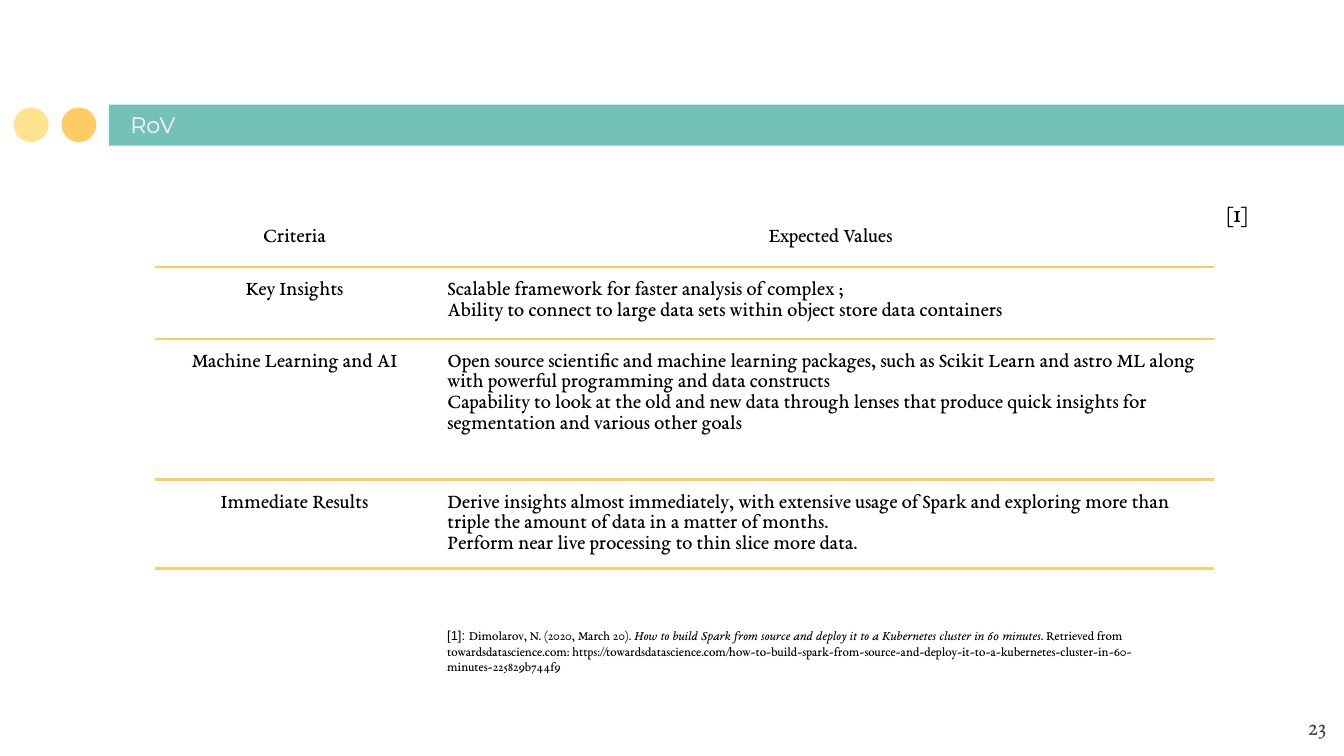
import pptx
import pptx.util
import pptx.dml.color
import pptx.enum.shapes
import pptx.enum.text
import pptx.oxml
import pptx.oxml.ns

Pt = pptx.util.Pt
RGB = pptx.dml.color.RGBColor
Align = pptx.enum.text.PP_ALIGN
Anchor = pptx.enum.text.MSO_ANCHOR
Shape = pptx.enum.shapes.MSO_SHAPE

TEAL = RGB(0x74, 0xC1, 0xB9)
GOLD = RGB(0xFF, 0xCB, 0x64)
CREAM = RGB(0xFF, 0xE4, 0x8D)
BLACK = RGB(0, 0, 0)
GREY = RGB(0x43, 0x43, 0x43)
WHITE = RGB(0xFF, 0xFF, 0xFF)
SERIF = "EB Garamond"
PAD = Pt(7.2)


def add_run(para, text, size, color=BLACK, font=SERIF, slant=False):
    run = para.add_run()
    run.text = text
    run.font.size = Pt(size)
    run.font.name = font
    run.font.color.rgb = color
    run.font.italic = slant


def set_frame(frame, anchor=Anchor.TOP):
    frame.word_wrap = True
    frame.auto_size = pptx.enum.text.MSO_AUTO_SIZE.NONE
    frame.vertical_anchor = anchor
    frame.margin_left = frame.margin_right = PAD
    frame.margin_top = frame.margin_bottom = PAD
    return frame.paragraphs[0]


deck = pptx.Presentation()
deck.slide_width, deck.slide_height = Pt(720), Pt(405)
slide = deck.slides.add_slide(deck.slide_layouts[5])
shapes = slide.shapes

for kind, left, top, width, height, color in [
    (Shape.RECTANGLE, 58.4, 56, 684, 22, TEAL),
    (Shape.OVAL, 33, 57.6, 18.6, 18.6, GOLD),
    (Shape.OVAL, 7.4, 57.6, 18.6, 18.6, CREAM),
]:
    shape = shapes.add_shape(kind, Pt(left), Pt(top), Pt(width), Pt(height))
    shape.shadow.inherit = False
    shape.fill.solid()
    shape.fill.fore_color.rgb = color
    shape.line.fill.background()

title = shapes.title
title.left, title.top, title.width, title.height = Pt(62.6), Pt(57), Pt(394.6), Pt(24.4)
para = set_frame(title.text_frame, Anchor.BOTTOM)
para.alignment = Align.LEFT
add_run(para, "RoV", 12, WHITE, "Montserrat")
shapes._spTree.append(title._element)

rows = [
    ("Criteria", ["Expected Values"]),
    ("Key Insights", [
        "Scalable framework for faster analysis of complex ;",
        "Ability to connect to large data sets within object store data containers",
    ]),
    ("Machine Learning and AI", [
        "Open source scientific and machine learning packages, such as Scikit Learn and astro ML along with powerful programming and data constructs",
        "Capability to look at the old and new data through lenses that produce quick insights for segmentation and various other goals",
    ]),
    ("Immediate Results", [
        "Derive insights almost immediately, with extensive usage of Spark and exploring more than triple the amount of data in a matter of months.",
        "Perform near live processing to thin slice more data.",
    ]),
]
heights = [31.7, 38.3, 75.5, 47.7]
widths = [149.3, 417.8]
table = shapes.add_table(4, 2, Pt(83.2), Pt(111.5), Pt(sum(widths)), Pt(sum(heights))).table
table.first_row = table.horz_banding = False
for col, width in zip(table.columns, widths):
    col.width = Pt(width)

for i, (name, lines) in enumerate(rows):
    table.rows[i].height = Pt(heights[i])
    for j, texts in enumerate([[name], lines]):
        cell = table.cell(i, j)
        cell.fill.background()
        cell.margin_left = cell.margin_top = cell.margin_bottom = PAD
        cell.margin_right = Pt(0) if (i, j) == (0, 1) else PAD
        cell.vertical_anchor = Anchor.TOP if i else Anchor.MIDDLE
        for n, text in enumerate(texts):
            para = cell.text_frame.add_paragraph() if n else cell.text_frame.paragraphs[0]
            para.alignment = Align.LEFT if i and j else Align.CENTER
            add_run(para, text, 11)
        props = cell._tc.get_or_add_tcPr()
        for n, side in enumerate("LRTB"):
            ruled = side == "B" or side == "T" and i > 0
            fill = f'<a:solidFill><a:srgbClr val="{GOLD}"/></a:solidFill>' if ruled else "<a:noFill/>"
            space = pptx.oxml.ns.nsdecls("a")
            props.insert(n, pptx.oxml.parse_xml(f'<a:ln{side} {space} w="{Pt(1.5)}">{fill}</a:ln{side}>'))

cite = [
    ("[1]: ", 7, BLACK, "Arial"),
    ("Dimolarov, N. (2020, March 20). ", 7),
    ("How to build Spark from source and deploy it to a Kubernetes cluster in 60 minutes", 7, BLACK, SERIF, True),
    (". Retrieved from towardsdatascience.com: https://towardsdatascience.com/how-to-build-spark-from-source-and-deploy-it-to-a-kubernetes-cluster-in-60-minutes-225829b744f9", 7),
]
for left, top, width, height, align, runs in [
    (674, 373.7, 43.2, 31, Align.RIGHT, [("23", 13, GREY)]),
    (232.5, 329, 415.5, 57, Align.LEFT, cite),
    (650, 98, 48, 31.7, Align.LEFT, [("[1]", 14)]),
]:
    box = shapes.add_textbox(Pt(left), Pt(top), Pt(width), Pt(height))
    para = set_frame(box.text_frame)
    para.alignment = align
    for run in runs:
        add_run(para, *run)

deck.save("out.pptx")
